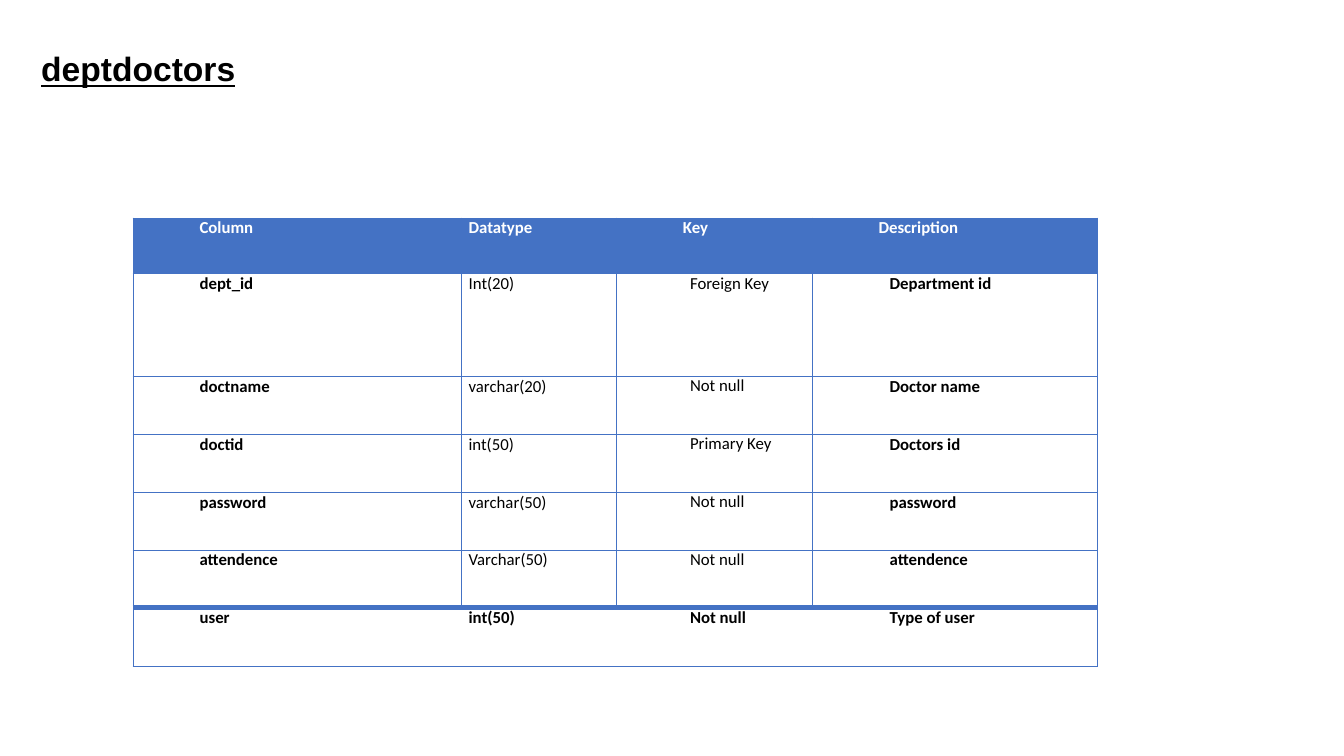
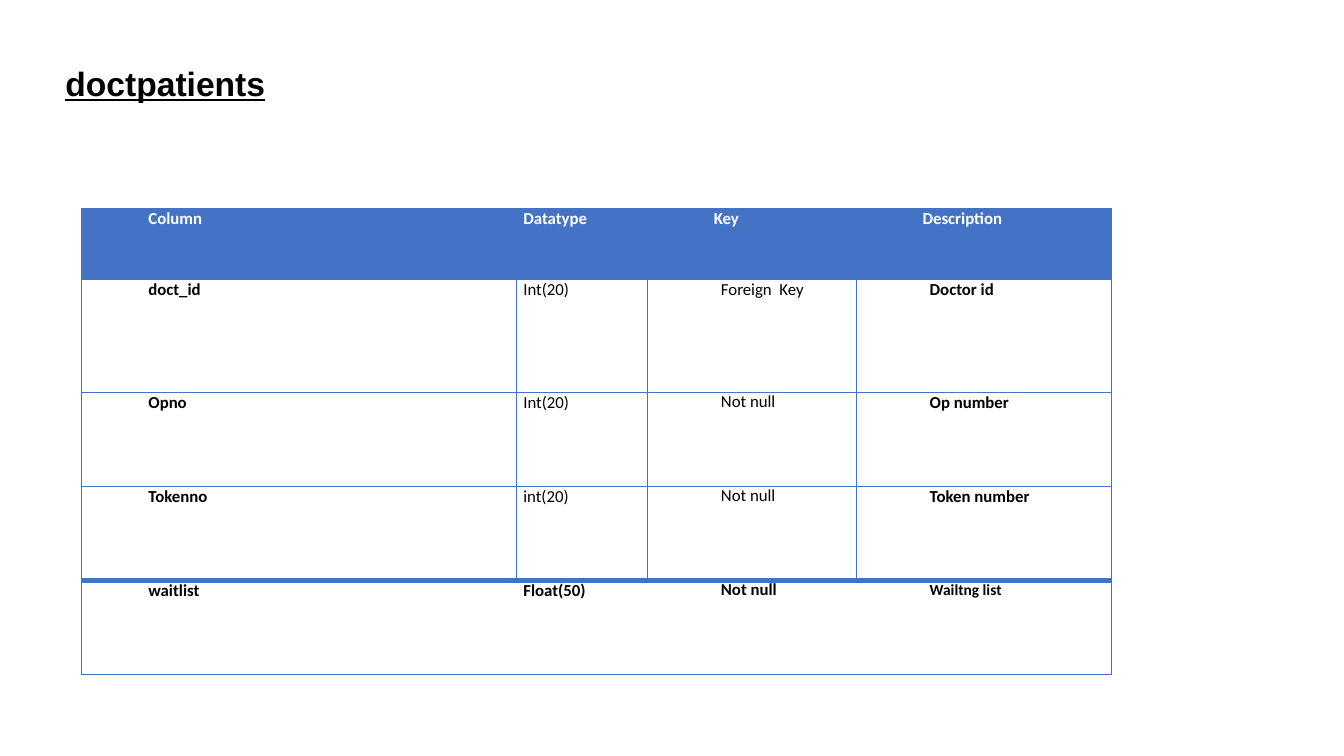
from dataclasses import dataclass

from lxml import etree
from pptx import Presentation
from pptx.dml.color import RGBColor
from pptx.enum.text import MSO_ANCHOR, PP_ALIGN
from pptx.oxml.ns import qn
from pptx.util import Cm, Pt

TOP = MSO_ANCHOR.TOP
LEFT = PP_ALIGN.LEFT
BLANK_LAYOUT = 6


@dataclass(frozen=True)
class Theme:
    blue: str = "4472C4"
    black: str = "000000"
    white: str = "FFFFFF"
    title_font: str = "Arial"
    table_font: str = "Calibri"
    title_size: float = 24
    table_size: float = 12
    small_size: float = 11
    thin: float = 0.5
    thick: float = 4


THEME = Theme()

# Shared table content and indents (cm)
HEADER = ("Column", "Datatype", "Key", "Description")
BOLD_COLUMNS = (0, 3)
KEY_COLUMN = 2
HEADER_INDENTS = (1.68, 0.18, 1.68, 1.68)


@dataclass(frozen=True)
class TableSlide:
    title: str
    title_frame: tuple
    corner: tuple
    widths: tuple
    heights: tuple      # header row, first row, every other row
    indents: tuple
    rows: tuple
    small_cells: tuple = ()


DEPT_DOCTORS = TableSlide(
    title="deptdoctors",
    title_frame=(0.79, 1.04, 6.27, 2.49),
    corner=(3.35, 5.49),
    widths=(8.28, 3.9, 4.93, 7.19),
    heights=(1.4, 2.59, 1.46),
    indents=(1.68, 0.18, 1.86, 1.96),
    rows=(
        ("dept_id", "Int(20)", "Foreign Key", "Department id"),
        ("doctname", "varchar(20)", "Not null", "Doctor name"),
        ("doctid", "int(50)", "Primary Key", "Doctors id"),
        ("password", "varchar(50)", "Not null", "password"),
        ("attendence", "Varchar(50)", "Not null", "attendence"),
        ("user", "int(50)", "Not null", "Type of user"),
    ),
)

DOCT_PATIENTS = TableSlide(
    title="doctpatients",
    title_frame=(1.4, 1.4, 5.59, 2.06),
    corner=(2.06, 5.26),
    widths=(10.95, 3.3, 5.26, 6.43),
    heights=(1.78, 2.85, 2.37),
    indents=(1.68, 0.18, 1.86, 1.86),
    rows=(
        ("doct_id", "Int(20)", "Foreign  Key", "Doctor id"),
        ("Opno", "Int(20)", "Not null", "Op number"),
        ("Tokenno", "int(20)", "Not null", "Token number"),
        ("waitlist", "Float(50)", "Not null", "Wailtng list"),
    ),
    small_cells=("Wailtng list",),
)


def write_text(frame, text, *, font, size, color=THEME.black, bold=False,
               underline=False, indent=0, line_spacing=None,
               margins=(0, 0, 0, 0)):
    """Fill a text frame with one formatted paragraph."""
    frame.word_wrap = True
    (frame.margin_left, frame.margin_top,
     frame.margin_right, frame.margin_bottom) = map(Cm, margins)
    para = frame.paragraphs[0]
    para.alignment = LEFT
    if indent:
        properties = para._p.get_or_add_pPr()
        properties.set("marL", str(Cm(indent)))
        properties.set("indent", "0")
    if line_spacing:
        para.line_spacing = Pt(line_spacing)
    span = para.add_run()
    span.text = text
    span.font.name = font
    span.font.size = Pt(size)
    span.font.bold = bold
    span.font.underline = underline
    span.font.color.rgb = RGBColor.from_string(color)


def set_borders(cell, **widths):
    """Draw the cell's sides L, R, T, B; a width of 0 leaves a side open."""
    properties = cell._tc.get_or_add_tcPr()
    for side in "LRTB":
        width = widths[side]
        line = etree.SubElement(properties, qn(f"a:ln{side}"), w=str(Pt(width)))
        if width:
            fill = etree.SubElement(line, qn("a:solidFill"))
            etree.SubElement(fill, qn("a:srgbClr"), val=THEME.blue)
        else:
            etree.SubElement(line, qn("a:noFill"))


def add_title(page, content):
    box = page.shapes.add_textbox(*map(Cm, content.title_frame))
    box.text_frame.vertical_anchor = TOP
    write_text(box.text_frame, content.title, font=THEME.title_font,
               size=THEME.title_size, bold=True, underline=True,
               margins=(0.25, 0.18, 0, 0.13))


def format_cell(cell, text, row, column, content):
    last_row = len(content.rows)
    last_column = len(HEADER) - 1
    is_header, is_last = row == 0, row == last_row

    # The last row is open between columns and set off by a thick line
    set_borders(
        cell,
        L=0 if is_last and column > 0 else THEME.thin,
        R=0 if is_last and column < last_column else THEME.thin,
        T=THEME.thick if is_last else THEME.thin,
        B=THEME.thick if row == last_row - 1 else THEME.thin,
    )
    cell.fill.solid()
    cell.fill.fore_color.rgb = RGBColor.from_string(
        THEME.blue if is_header else THEME.white)
    cell.vertical_anchor = TOP
    cell.margin_left = cell.margin_right = 0
    cell.margin_top = cell.margin_bottom = 0
    indents = HEADER_INDENTS if is_header else content.indents
    write_text(
        cell.text_frame, text,
        font=THEME.table_font,
        size=THEME.small_size if text in content.small_cells else THEME.table_size,
        color=THEME.white if is_header else THEME.black,
        bold=is_header or is_last or column in BOLD_COLUMNS,
        indent=indents[column],
        line_spacing=14 if column == KEY_COLUMN and row > 1 else None,
    )


def add_column_table(page, content):
    rows = (HEADER, *content.rows)
    header_height, first_height, other_height = content.heights
    heights = [header_height, first_height] + [other_height] * (len(rows) - 2)
    left, top = content.corner
    frame = page.shapes.add_table(
        len(rows), len(HEADER), Cm(left), Cm(top),
        Cm(sum(content.widths)), Cm(sum(heights)))
    table = frame.table
    table.first_row = table.horz_banding = False
    for column, width in zip(table.columns, content.widths):
        column.width = Cm(width)
    for row, height in zip(table.rows, heights):
        row.height = Cm(height)
    for row, texts in enumerate(rows):
        for column, text in enumerate(texts):
            format_cell(table.cell(row, column), text, row, column, content)


def main():
    deck = Presentation()
    deck.slide_width, deck.slide_height = Cm(33.87), Cm(19.05)
    for content in (DEPT_DOCTORS, DOCT_PATIENTS):
        page = deck.slides.add_slide(deck.slide_layouts[BLANK_LAYOUT])
        add_column_table(page, content)
        add_title(page, content)
    deck.save("out.pptx")


main()
